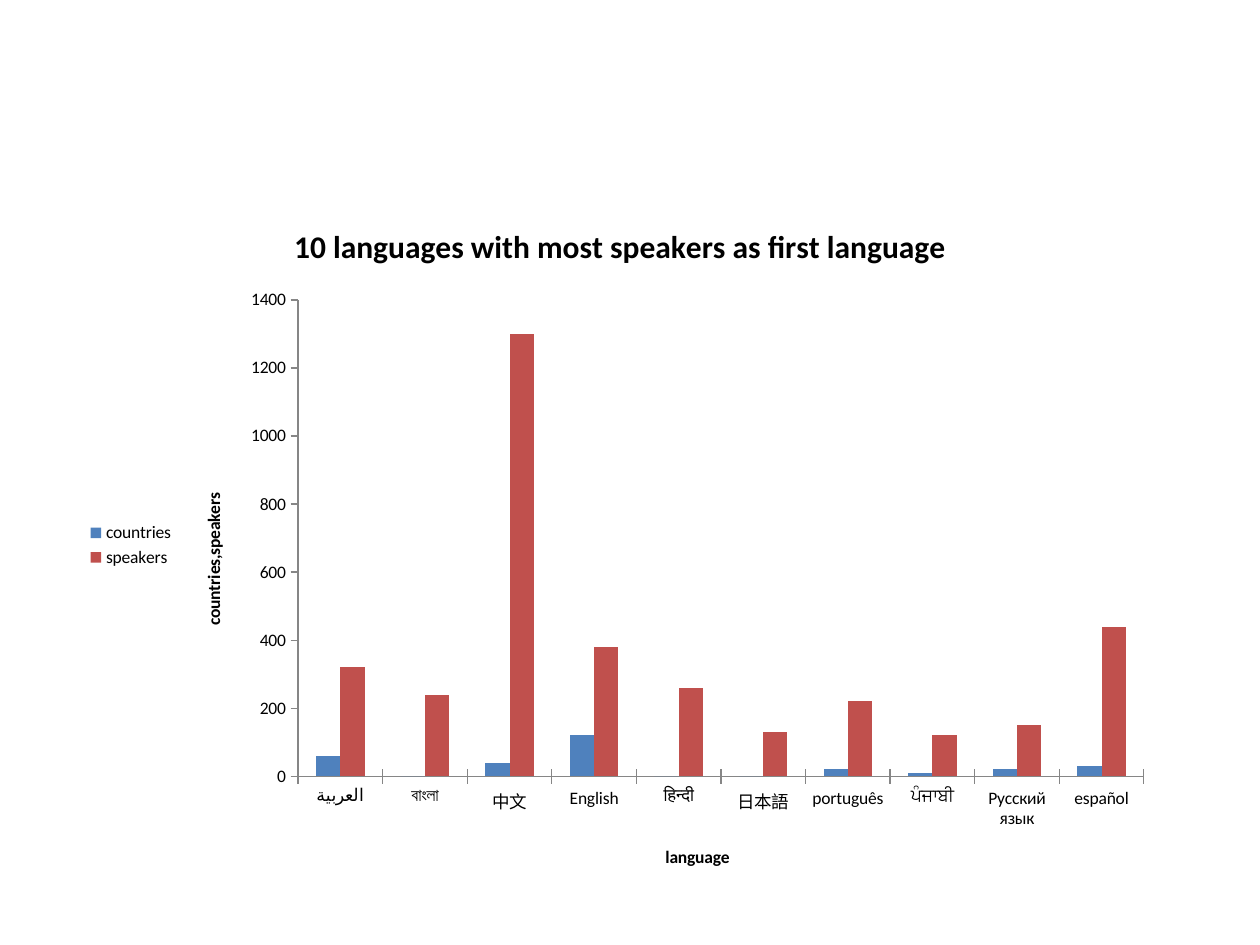
from pptx import Presentation
from pptx.chart.data import CategoryChartData
from pptx.dml.color import RGBColor
from pptx.enum.chart import XL_CHART_TYPE, XL_LEGEND_POSITION, XL_TICK_MARK
from pptx.oxml import parse_xml
from pptx.oxml.ns import nsdecls
from pptx.util import Cm, Pt

COLORS = {
    "text": "000000",
    "axis": "868686",
    "countries": "4F81BD",
    "speakers": "C0504D",
}
LANGUAGES = [
    "العربية", "বাংলা", "中文", "English", "हिन्दी",
    "日本語", "português", "ਪੰਜਾਬੀ", "Русский язык", "español",
]
SERIES = {
    "countries": [60, 0, 40, 120, 0, 0, 20, 10, 20, 30],
    "speakers": [320, 240, 1300, 380, 260, 130, 220, 120, 150, 440],
}
PLOT_AREA = {"x": 0.205, "y": 0.147, "w": 0.775, "h": 0.686}


def color(name):
    return RGBColor.from_string(COLORS[name])


def style_font(font, size, bold=False):
    font.name = "Calibri"
    font.size = Pt(size)
    font.bold = bold
    font.color.rgb = color("text")


def set_title(owner, text, size):
    owner.has_title = True
    para = owner_title(owner).text_frame.paragraphs[0]
    span = para.add_run()
    span.text = text
    style_font(span.font, size, bold=True)


def owner_title(owner):
    return owner.chart_title if hasattr(owner, "chart_title") else owner.axis_title


def style_axis(axis, title, tick_mark):
    axis.has_title = True
    set_title(axis, title, 10)
    axis.has_major_gridlines = False
    axis.major_tick_mark = tick_mark
    axis.minor_tick_mark = XL_TICK_MARK.NONE
    axis.format.line.color.rgb = color("axis")
    axis.format.line.width = Pt(0.75)
    style_font(axis.tick_labels.font, 10)


def place_plot_area(chart):
    sizes = "".join(f'<c:{key} val="{value}"/>' for key, value in PLOT_AREA.items())
    layout = parse_xml(
        f'<c:layout {nsdecls("c")}><c:manualLayout><c:layoutTarget val="inner"/>'
        f'<c:xMode val="edge"/><c:yMode val="edge"/>{sizes}</c:manualLayout></c:layout>'
    )
    plot_area = chart.plots[0]._element.getparent()
    for old_layout in plot_area.xpath("c:layout"):
        plot_area.remove(old_layout)
    plot_area.insert(0, layout)


def add_language_chart(page):
    data = CategoryChartData()
    data.categories = LANGUAGES
    for name, values in SERIES.items():
        data.add_series(name, values)
    chart = page.shapes.add_chart(
        XL_CHART_TYPE.COLUMN_CLUSTERED, Cm(1.5), Cm(3.99), Cm(22), Cm(14), data
    ).chart
    style_font(chart.font, 10)
    set_title(chart, "10 languages with most speakers as first language", 18)
    chart.has_legend = True
    chart.legend.position = XL_LEGEND_POSITION.LEFT
    chart.legend.include_in_layout = False
    style_font(chart.legend.font, 10)

    style_axis(chart.category_axis, "language", XL_TICK_MARK.CROSS)
    style_axis(chart.value_axis, "countries,speakers", XL_TICK_MARK.OUTSIDE)
    chart.value_axis.minimum_scale = 0
    chart.value_axis.maximum_scale = 1400
    chart.value_axis.major_unit = 200

    plot = chart.plots[0]
    plot.vary_by_categories = False
    plot.gap_width = 150
    plot.overlap = 0
    for series in plot.series:
        series.format.fill.solid()
        series.format.fill.fore_color.rgb = color(series.name)
    place_plot_area(chart)


def main():
    deck = Presentation()
    deck.slide_width = Cm(25.4)
    deck.slide_height = Cm(19.05)
    page = deck.slides.add_slide(deck.slide_layouts[6])
    add_language_chart(page)
    deck.save("out.pptx")


main()
